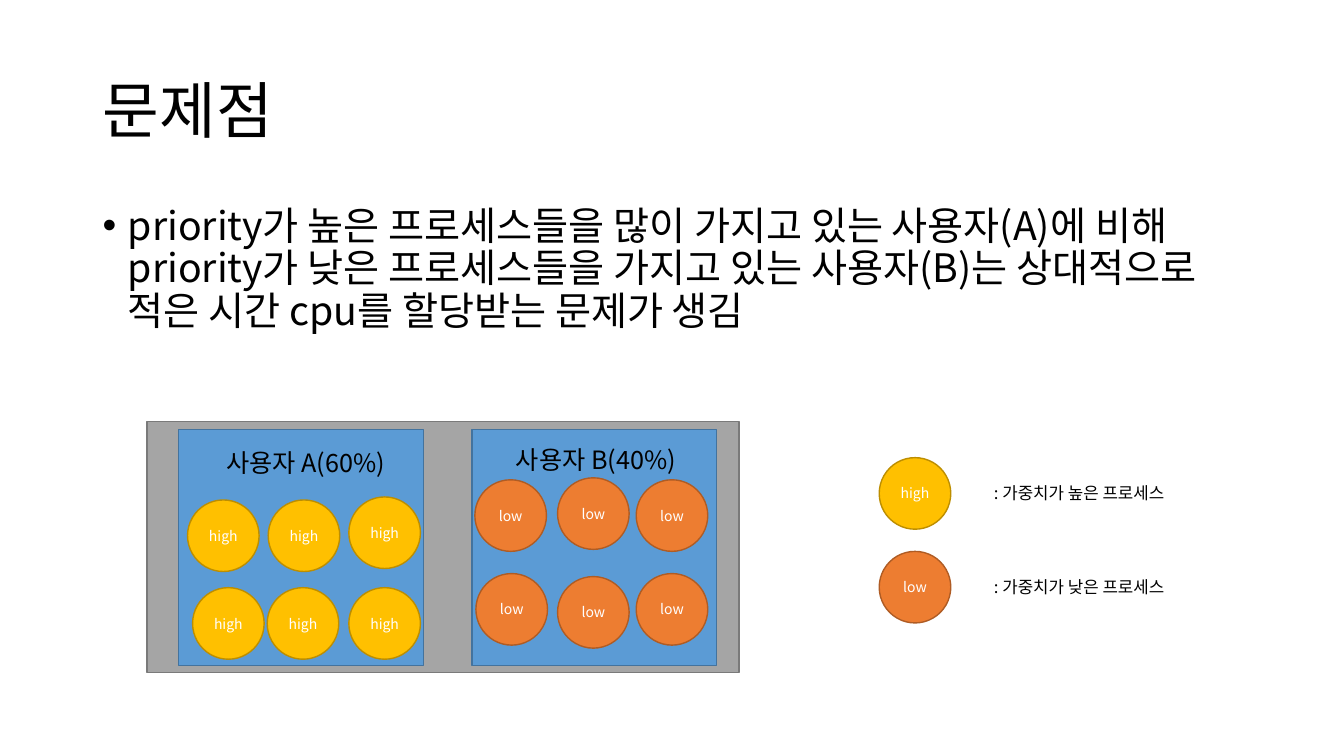
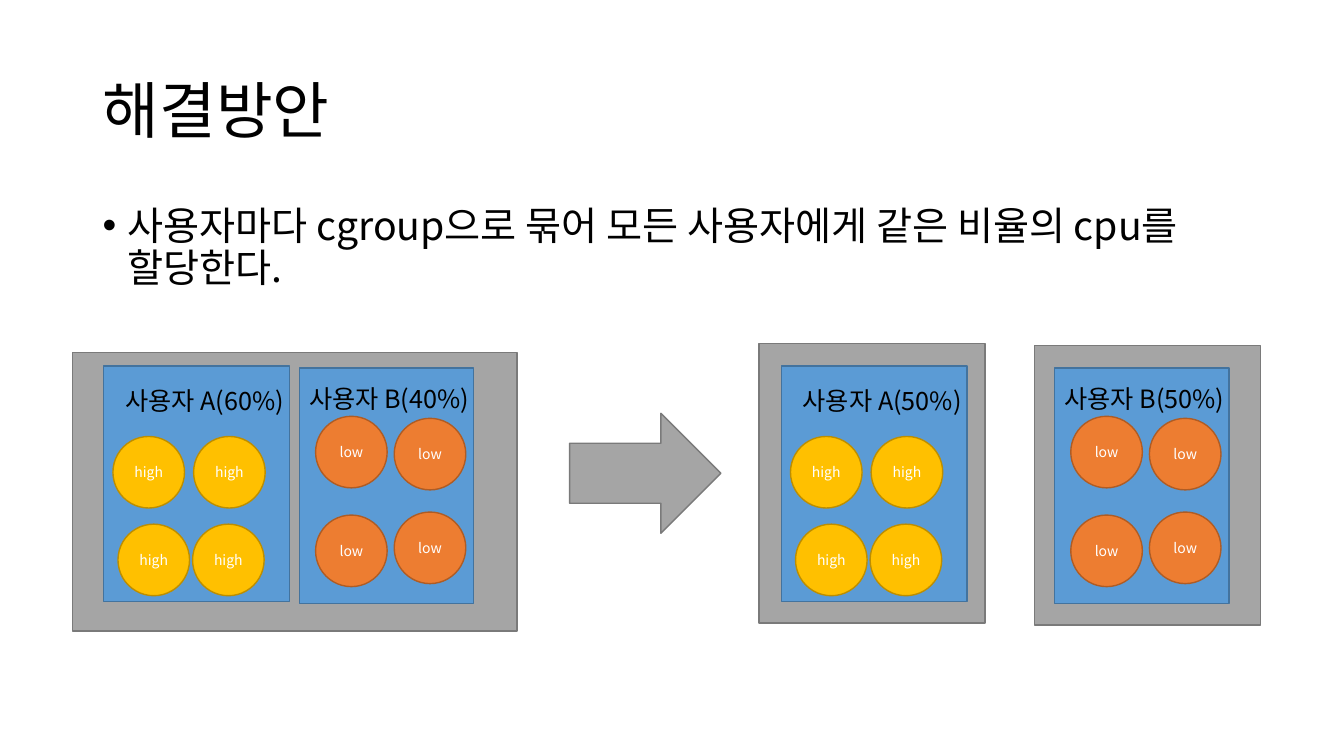
from lxml import etree
from pptx import Presentation
from pptx.dml.color import RGBColor
from pptx.enum import shapes, text
from pptx.oxml import ns
from pptx.util import Inches, Pt

FONT = "Noto Sans CJK KR"
BLACK = RGBColor(0x00, 0x00, 0x00)
WHITE = RGBColor(0xFF, 0xFF, 0xFF)
GRAY, GRAY_EDGE = RGBColor(0xA5, 0xA5, 0xA5), RGBColor(0x7A, 0x7A, 0x7A)
BLUE, BLUE_EDGE = RGBColor(0x5B, 0x9B, 0xD5), RGBColor(0x43, 0x73, 0x9E)
GOLD, GOLD_EDGE = RGBColor(0xFF, 0xC0, 0x00), RGBColor(0xBD, 0x8E, 0x00)
ORANGE, ORANGE_EDGE = RGBColor(0xED, 0x7D, 0x31), RGBColor(0xAF, 0x5C, 0x24)

GRAY_STYLE = (GRAY, GRAY_EDGE)
BLUE_STYLE = (BLUE, BLUE_EDGE)
PROCESS_STYLES = {"high": (GOLD, GOLD_EDGE), "low": (ORANGE, ORANGE_EDGE)}

RECT = shapes.MSO_SHAPE.RECTANGLE
MIDDLE = {"vertical_anchor": text.MSO_ANCHOR.MIDDLE}
WRAPPED = {"word_wrap": True}
UNWRAPPED = {"word_wrap": False}
CENTERED = {"alignment": text.PP_ALIGN.CENTER}

CIRCLE = 0.71
LABEL_SIZE = (1.9, 0.4)
TITLE_BOX = (0.92, 0.4, 11.5, 1.45)
BODY_BOX = (0.92, 2, 11.5, 4.76)

# Process positions inside a user panel
HIGH_SPOTS = [(0.09, 0.7), (0.89, 0.7), (0.14, 1.57), (0.88, 1.57)]
HIGH_SPOTS_WIDE = HIGH_SPOTS + [(1.69, 0.67), (1.69, 1.57)]
LOW_SPOTS = [(0.16, 0.48), (0.94, 0.5), (0.16, 1.46), (0.94, 1.43)]
LOW_SPOTS_WIDE = [(x + 0.69, y) for x, y in LOW_SPOTS] + [(0.03, 0.5), (0.04, 1.43)]


def set_all(target, formats):
    for name, value in formats.items():
        setattr(target, name, value)


def write(shape, words, size, color, frame_format, para_format):
    frame = shape.text_frame
    set_all(frame, frame_format)
    para = frame.paragraphs[0]
    set_all(para, para_format)
    span = para.add_run()
    span.text = words
    set_all(span.font, {"size": Pt(size), "name": FONT})
    span.font.color.rgb = color
    east_asian = etree.SubElement(span.font._element, ns.qn("a:ea"))
    east_asian.set("typeface", FONT)
    return para


def add_text(page, box, words, size, frame_format, para_format):
    shape = page.shapes.add_textbox(*map(Inches, box))
    return write(shape, words, size, BLACK, frame_format, para_format)


def add_block(page, preset, box, style):
    shape = page.shapes.add_shape(preset, *map(Inches, box))
    fill, edge = style
    shape.shadow.inherit = False
    shape.fill.solid()
    shape.fill.fore_color.rgb = fill
    shape.line.color.rgb = edge
    shape.line.width = Pt(1)
    return shape


def add_process(page, left, top, priority):
    circle = add_block(page, shapes.MSO_SHAPE.OVAL, (left, top, CIRCLE, CIRCLE),
                       PROCESS_STYLES[priority])
    write(circle, priority, 10, WHITE, MIDDLE | UNWRAPPED, CENTERED)


def add_user(page, box, label, label_spot, priority, spots):
    """Blue panel of one user, with its label and its processes."""
    left, top = box[:2]
    add_block(page, RECT, box, BLUE_STYLE)
    for x, y in spots:
        add_process(page, left + x, top + y, priority)
    x, y = label_spot
    add_text(page, (left + x, top + y, *LABEL_SIZE), label, 18, UNWRAPPED, CENTERED)


def add_legend(page, left, top):
    for row, (priority, level) in enumerate([("high", "높은"), ("low", "낮은")]):
        row_top = top + row * 0.93
        add_process(page, left, row_top, priority)
        add_text(page, (left + 1.04, row_top + 0.2, 2.5, 0.3),
                 f": 가중치가 {level} 프로세스", 12, WRAPPED, {})


def add_page(deck, title, body):
    """Blank page with the shared title and one bullet."""
    page = deck.slides.add_slide(deck.slide_layouts[6])
    spacing = {"line_spacing": 0.9}
    add_text(page, TITLE_BOX, title, 44, MIDDLE | WRAPPED, spacing)
    para = add_text(page, BODY_BOX, body, 28, WRAPPED,
                    spacing | {"space_before": Pt(10)})
    props = para._p.get_or_add_pPr()
    props.set("marL", str(Inches(0.25)))
    props.set("indent", str(-Inches(0.25)))
    etree.SubElement(props, ns.qn("a:buFont")).set("typeface", "Arial")
    etree.SubElement(props, ns.qn("a:buChar")).set("char", "•")
    return page


def add_problem_page(deck):
    page = add_page(
        deck, "문제점",
        "priority가 높은 프로세스들을 많이 가지고 있는 사용자(A)에 비해 "
        "priority가 낮은 프로세스들을 가지고 있는 사용자(B)는 상대적으로 "
        "적은 시간 cpu를 할당받는 문제가 생김")
    add_block(page, RECT, (1.46, 4.18, 5.87, 2.49), GRAY_STYLE)
    add_user(page, (1.77, 4.26, 2.43, 2.34), "사용자 A(60%)", (0.31, 0.13),
             "high", HIGH_SPOTS_WIDE)
    add_user(page, (4.68, 4.26, 2.43, 2.34), "사용자 B(40%)", (0.28, 0.1),
             "low", LOW_SPOTS_WIDE)
    add_legend(page, 8.72, 4.54)


def add_solution_page(deck):
    page = add_page(
        deck, "해결방안",
        "사용자마다 cgroup으로 묶어 모든 사용자에게 같은 비율의 cpu를 할당한다.")
    for frame in [(0.72, 3.5, 4.41, 2.76), (7.53, 3.41, 2.24, 2.77),
                  (10.26, 3.43, 2.24, 2.77)]:
        add_block(page, RECT, frame, GRAY_STYLE)
    add_block(page, shapes.MSO_SHAPE.RIGHT_ARROW, (5.65, 4.1, 1.5, 1.19), GRAY_STYLE)
    for share_a, left_a, share_b, left_b in [(60, 1.03, 40, 2.97),
                                             (50, 7.75, 50, 10.46)]:
        add_user(page, (left_a, 3.63, 1.84, 2.34), f"사용자 A({share_a}%)",
                 (0.05, 0.14), "high", HIGH_SPOTS)
        add_user(page, (left_b, 3.65, 1.73, 2.34), f"사용자 B({share_b}%)",
                 (-0.06, 0.1), "low", LOW_SPOTS)


def main():
    deck = Presentation()
    set_all(deck, {"slide_width": Inches(13.33), "slide_height": Inches(7.5)})
    add_problem_page(deck)
    add_solution_page(deck)
    deck.save("out.pptx")


if __name__ == "__main__":
    main()
